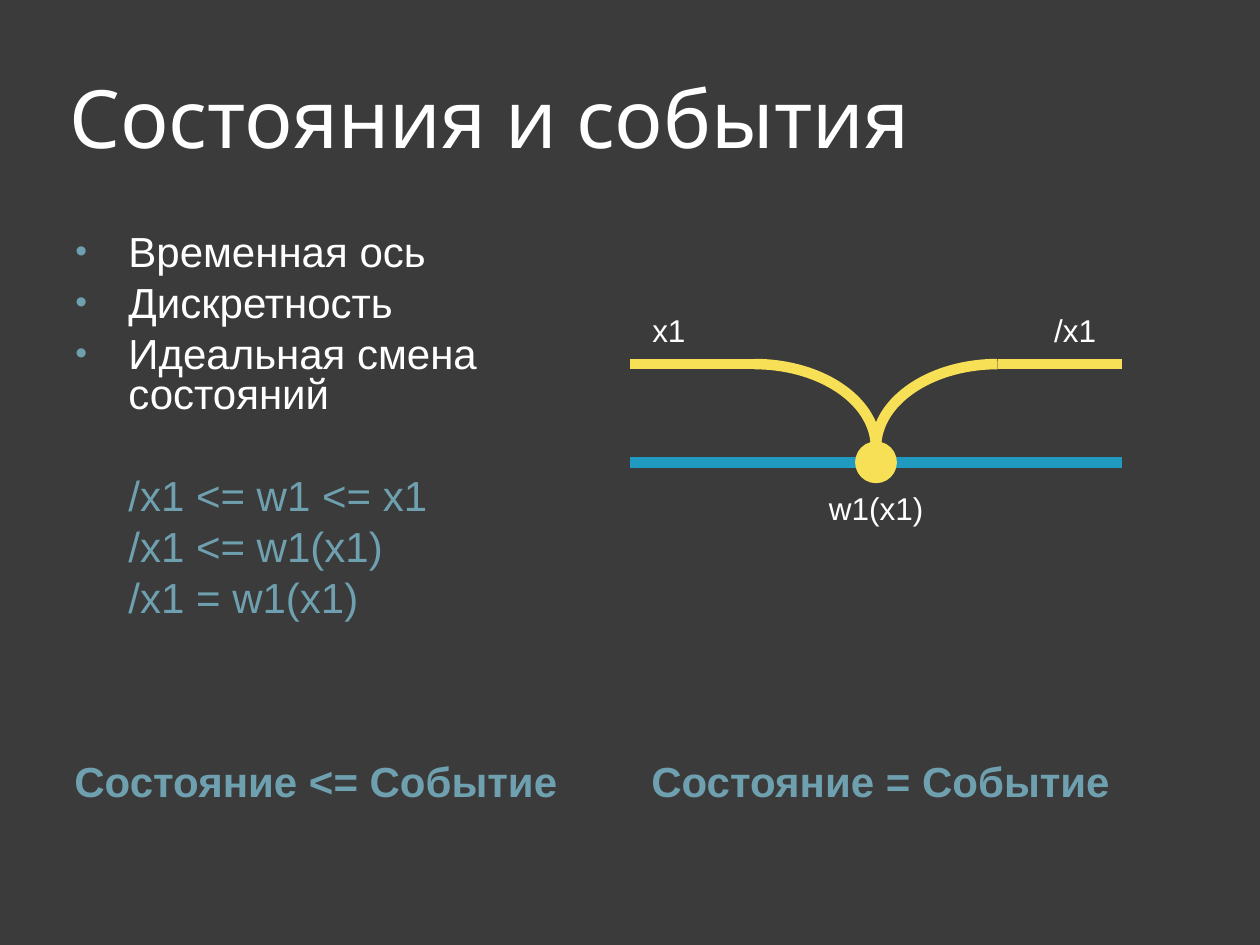
from dataclasses import dataclass

from lxml.etree import SubElement
from pptx import Presentation
from pptx.dml.color import RGBColor
from pptx.enum.shapes import MSO_CONNECTOR, MSO_SHAPE
from pptx.enum.text import MSO_ANCHOR
from pptx.oxml.ns import qn
from pptx.util import Cm, Pt


@dataclass(frozen=True)
class Theme:
    background: str = "3B3B3B"
    text: str = "FFFFFF"
    accent: str = "6EA0B0"
    axis: str = "219AC1"
    state: str = "F7DF56"
    title_font: str = "Karla"
    body_font: str = "Arial"
    title_size: float = 46
    body_size: float = 24
    label_size: float = 18
    stroke: float = 6


@dataclass(frozen=True)
class Box:
    left: float
    top: float
    width: float
    height: float

    def lengths(self):
        return Cm(self.left), Cm(self.top), Cm(self.width), Cm(self.height)


@dataclass(frozen=True)
class Line:
    start: float
    end: float
    height: float
    color: str


@dataclass(frozen=True)
class Item:
    text: str
    bullet: bool = False
    before: float = 6


THEME = Theme()
HANGING = 1.07

presentation = Presentation()
presentation.slide_width, presentation.slide_height = Cm(25.4), Cm(19.05)
slide = presentation.slides.add_slide(presentation.slide_layouts[6])
slide.background.fill.solid()
slide.background.fill.fore_color.rgb = RGBColor.from_string(THEME.background)


def add_frame(box: Box, inset: tuple[float, float], anchor=MSO_ANCHOR.TOP):
    frame = slide.shapes.add_textbox(*box.lengths()).text_frame
    frame.word_wrap = True
    frame.vertical_anchor = anchor
    frame.margin_left = frame.margin_right = Cm(inset[0])
    frame.margin_top = frame.margin_bottom = Cm(inset[1])
    return frame


def write(paragraph, text: str, *, size: float, color: str = THEME.text,
          font: str = THEME.body_font, bold: bool = False,
          before: float = 0, spacing: float = 1.0) -> None:
    paragraph.space_before = Pt(before)
    paragraph.line_spacing = spacing
    run = paragraph.add_run()
    run.text = text
    run.font.name, run.font.size, run.font.bold = font, Pt(size), bold
    run.font.color.rgb = RGBColor.from_string(color)


def set_indent(paragraph, bullet: bool) -> None:
    properties = paragraph._p.get_or_add_pPr()
    properties.set("marL", str(Cm(1.17)))
    properties.set("indent", str(-Cm(HANGING) if bullet else 0))
    if bullet:
        color = SubElement(properties, qn("a:buClr"))
        SubElement(color, qn("a:srgbClr"), val=THEME.accent)
        SubElement(properties, qn("a:buSzPct"), val="80000")
        SubElement(properties, qn("a:buFont"), typeface=THEME.body_font)
        SubElement(properties, qn("a:buChar"), char="•")


def add_line(line: Line) -> None:
    connector = slide.shapes.add_connector(
        MSO_CONNECTOR.STRAIGHT, Cm(line.start), Cm(line.height),
        Cm(line.end), Cm(line.height))
    connector.line.color.rgb = RGBColor.from_string(line.color)
    connector.line.width = Pt(THEME.stroke)
    SubElement(connector._element.spPr, qn("a:effectLst"))


def add_state_shape(kind, box: Box, width: float):
    shape = slide.shapes.add_shape(kind, *box.lengths())
    shape.shadow.inherit = False
    shape.line.color.rgb = RGBColor.from_string(THEME.state)
    shape.line.width = Pt(width)
    return shape


# Title
title = add_frame(Box(1.27, 0.76, 22.86, 3.18), (0.13, 0.13), MSO_ANCHOR.MIDDLE)
write(title.paragraphs[0], "Состояния и события",
      size=THEME.title_size, font=THEME.title_font)

# Bottom statements
for left, statement in ((1.27, "Состояние <= Событие"), (12.9, "Состояние = Событие")):
    frame = add_frame(Box(left, 15.24, 11.23, 2.34), (0.23, 0))
    write(frame.paragraphs[0], statement, size=THEME.body_size,
          color=THEME.accent, bold=True, before=6)

# Bullets and formulas
items = (
    Item("Временная ось", bullet=True),
    Item("Дискретность", bullet=True),
    Item("Идеальная смена состояний", bullet=True),
    Item("/x1 <= w1 <= x1", before=35),
    Item("/x1 <= w1(x1)"),
    Item("/x1 = w1(x1)"),
)
frame = add_frame(Box(1.19, 4.75, 11.23, 8.81), (0.23, 0))
for index, item in enumerate(items):
    paragraph = frame.add_paragraph() if index else frame.paragraphs[0]
    write(paragraph, item.text, size=THEME.body_size, before=item.before,
          spacing=0.8, color=THEME.text if item.bullet else THEME.accent)
    set_indent(paragraph, item.bullet)

# Time axis and event point
EVENT, HALF, AXIS, LEVEL = 17.66, 4.96, 9.32, 7.34
RADIUS_X, RADIUS_Y, POINT = 2.45, 1.68, 0.79
add_line(Line(EVENT - HALF, EVENT + HALF, AXIS, THEME.axis))
point = add_state_shape(
    MSO_SHAPE.OVAL, Box(EVENT - POINT / 2, AXIS - POINT / 2, POINT, POINT), 1.5)
point.fill.solid()
point.fill.fore_color.rgb = RGBColor.from_string(THEME.state)

# State curves: a level line and a quarter arc on each side of the event
for side, start_angle, end_angle in ((-1, 270, 0), (1, 180, 270)):
    center = EVENT + side * RADIUS_X
    arc = add_state_shape(
        MSO_SHAPE.ARC,
        Box(center - RADIUS_X, LEVEL, 2 * RADIUS_X, 2 * RADIUS_Y), THEME.stroke)
    arc.fill.background()
    arc.adjustments[0] = start_angle * 0.6
    arc.adjustments[1] = end_angle * 0.6
    add_line(Line(*sorted((center, EVENT + side * HALF)), LEVEL, THEME.state))

# Diagram labels
for label, left, top, width in (("x1", 12.9, 6.15, 1.98), ("/x1", 21, 6.15, 1.98),
                                ("w1(x1)", 16.46, 9.73, 2.59)):
    frame = add_frame(Box(left, top, width, 1.02), (0.25, 0.13))
    write(frame.paragraphs[0], label, size=THEME.label_size)

presentation.save("out.pptx")
